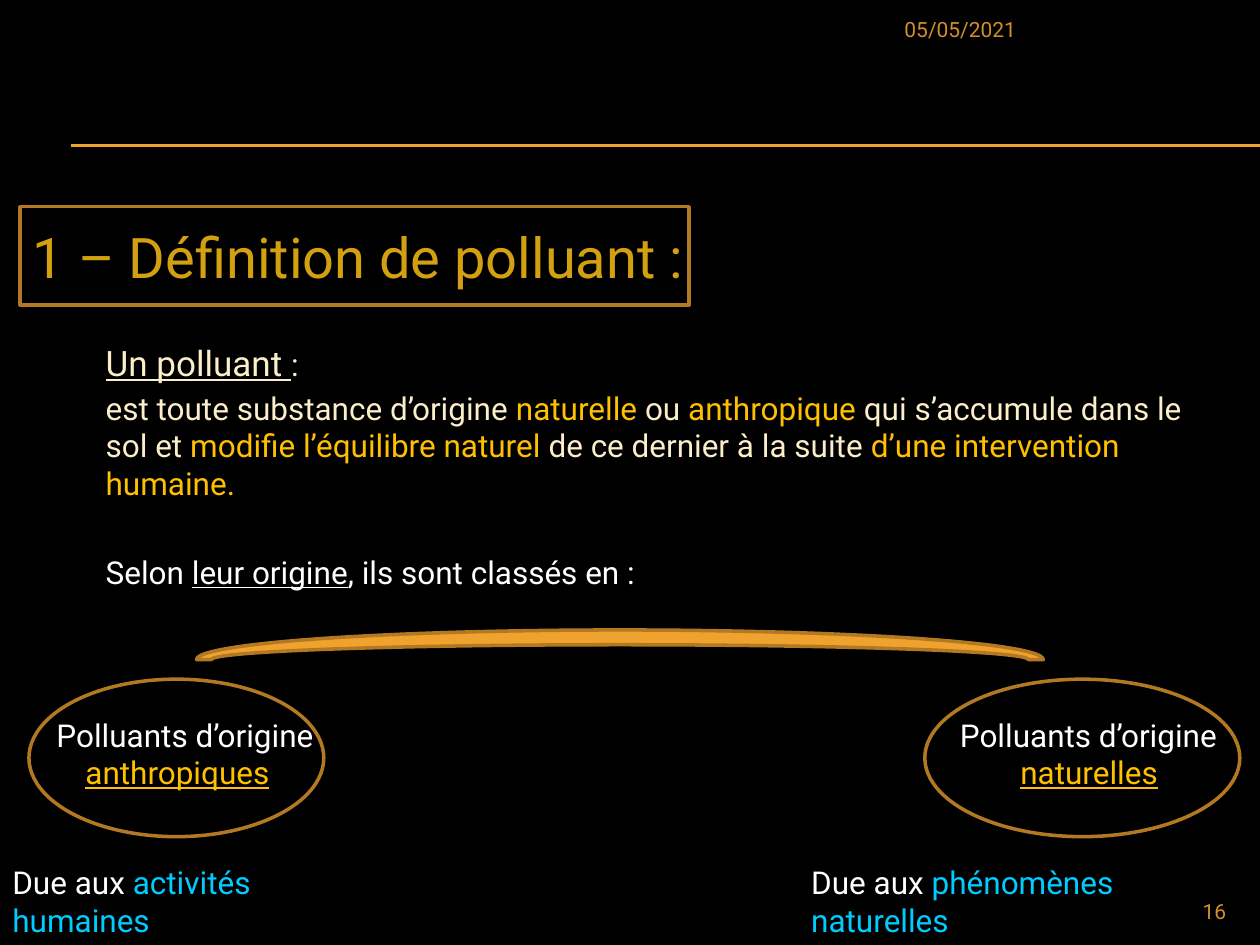
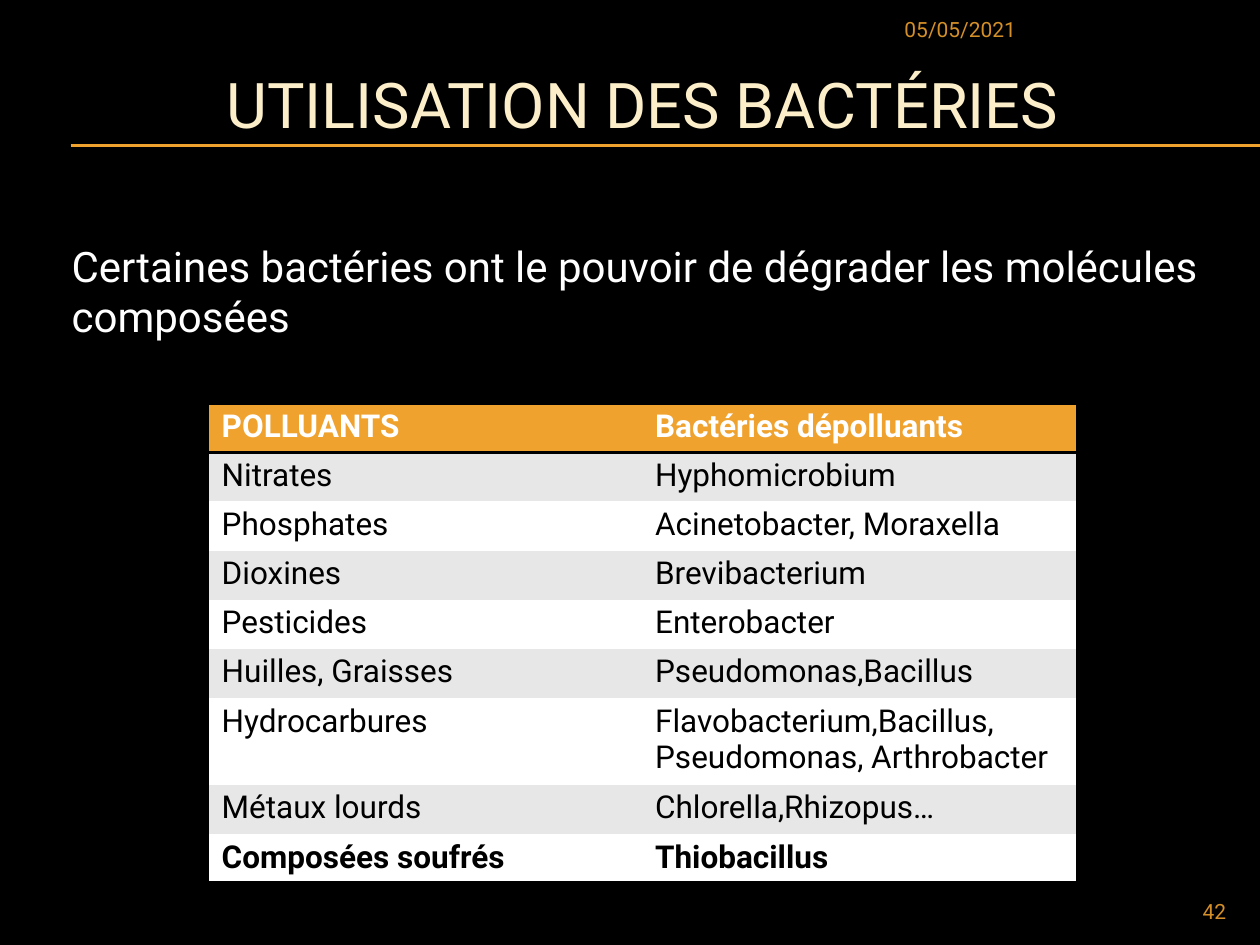
from dataclasses import dataclass

from lxml.etree import SubElement
from pptx import Presentation
from pptx.dml.color import RGBColor
from pptx.enum.shapes import MSO_CONNECTOR, MSO_SHAPE as Shape
from pptx.enum.text import MSO_ANCHOR as Anchor, MSO_AUTO_SIZE as AutoSize, PP_ALIGN as Align
from pptx.oxml.ns import qn
from pptx.util import Inches, Pt


@dataclass(frozen=True)
class Theme:
    font: str = "Roboto"
    # Colours
    background: str = "000000"
    orange: str = "F0A22E"
    outline: str = "B27822"
    footer: str = "D48F29"
    heading: str = "D2A010"
    cream: str = "FBEEC9"
    white: str = "FFFFFF"
    black: str = "000000"
    gold: str = "FFC000"
    cyan: str = "00CCFF"
    band: str = "E7E7E7"
    # Type sizes
    title_size: int = 36
    heading_size: int = 32
    intro_size: int = 24
    term_size: int = 20
    body_size: int = 18
    footer_size: int = 12


THEME = Theme()
NO_STYLE_TABLE = "{2D5ABB26-0587-4C30-8999-92F81FD0307C}"


def rgb(colour):
    return RGBColor.from_string(colour)


def place(left, top, width, height):
    return Inches(left), Inches(top), Inches(width), Inches(height)


# Text
def add_span(para, text, colour, size=THEME.body_size, underline=None, bold=None):
    span = para.add_run()
    span.text = text
    font = span.font
    font.name, font.size = THEME.font, Pt(size)
    font.underline, font.bold = underline, bold
    font.color.rgb = rgb(colour)


def add_text(slide, area, spans, align=Align.LEFT):
    """Add a wrapping text box; each span holds the arguments of add_span."""
    box = slide.shapes.add_textbox(*place(*area))
    box.text_frame.word_wrap = True
    para = box.text_frame.paragraphs[0]
    para.alignment = align
    for span in spans:
        add_span(para, *span)
    return box


def add_paragraph(box, spans, space_before):
    para = box.text_frame.add_paragraph()
    para.space_before = Pt(space_before)
    for span in spans:
        add_span(para, *span)


def set_indent(para, left, first_line):
    props = para._p.get_or_add_pPr()
    props.set("marL", str(Inches(left)))
    props.set("indent", str(Inches(first_line)))


def set_title(slide, area, text, colour, size, align):
    title = slide.shapes.title
    title.left, title.top, title.width, title.height = place(*area)
    frame = title.text_frame
    frame.auto_size, frame.word_wrap = AutoSize.NONE, True
    frame.vertical_anchor = Anchor.MIDDLE
    para = frame.paragraphs[0]
    para.alignment = align
    add_span(para, text, colour, size)
    return title


# Shapes
def set_outline(shape):
    shape.line.color.rgb = rgb(THEME.outline)
    shape.line.width = Pt(2)


def add_outlined(slide, kind, area, fill=None):
    shape = slide.shapes.add_shape(kind, *place(*area))
    shape.shadow.inherit = False
    if fill:
        shape.fill.solid()
        shape.fill.fore_color.rgb = rgb(fill)
    else:
        shape.fill.background()
    set_outline(shape)
    return shape


def add_rule(slide, top):
    rule = slide.shapes.add_connector(
        MSO_CONNECTOR.STRAIGHT, Inches(0.56), Inches(top), Inches(10), Inches(top))
    rule.line.color.rgb = rgb(THEME.orange)
    rule.line.width = Pt(0.75)
    SubElement(rule._element.spPr, qn("a:effectLst"))


# Table
def set_border(cell, sides):
    """Draw 2 pt lines on the given sides; borders precede the fill in the XML."""
    props = cell._tc.get_or_add_tcPr()
    for position, side in enumerate(sides):
        line = SubElement(props, qn(f"a:{side}"), w=str(Pt(2)))
        fill = SubElement(line, qn("a:solidFill"))
        SubElement(fill, qn("a:srgbClr"), val=THEME.black)
        props.insert(position, line)


def add_table(slide, area, rows, heights):
    frame = slide.shapes.add_table(len(rows), len(rows[0]), *place(*area))
    table = frame.table
    table._tbl.tblPr.find(qn("a:tableStyleId")).text = NO_STYLE_TABLE
    last = len(rows) - 1
    for index, (values, height) in enumerate(zip(rows, heights)):
        table.rows[index].height = Inches(height)
        header = index == 0
        fill = THEME.orange if header else THEME.band if index % 2 else THEME.white
        colour = THEME.white if header else THEME.black
        for column, value in enumerate(values):
            cell = table.cell(index, column)
            cell.margin_top = cell.margin_bottom = Inches(0.04)
            cell.fill.solid()
            cell.fill.fore_color.rgb = rgb(fill)
            add_span(cell.text_frame.paragraphs[0], value, colour,
                     bold=index in (0, last))
            if header:
                set_border(cell, ("lnT", "lnB"))
            elif index == last:
                set_border(cell, ("lnB",))


# Shared page frame
def add_page(deck, number):
    page = deck.slides.add_slide(deck.slide_layouts[5])
    for top in (1.15, 1.16):
        add_rule(page, top)
    add_text(page, (7.08, 0.08, 2.75, 0.32),
             [("05/05/2021", THEME.footer, THEME.footer_size)])
    add_text(page, (9, 7.08, 0.83, 0.27),
             [(number, THEME.footer, THEME.footer_size)], Align.RIGHT)
    return page


def add_origin(page, ellipse, label_left, indent, kind, cause_area, cause):
    """One class of pollutant: ringed label with its cause below."""
    add_outlined(page, Shape.OVAL, ellipse)
    label = add_text(page, (label_left, 5.63, 2.97, 0.71),
                     [("Polluants d’origine ", THEME.white),
                      (kind, THEME.gold, THEME.body_size, True)])
    set_indent(label.text_frame.paragraphs[0], *indent)
    add_text(page, cause_area, [("Due aux ", THEME.white), (cause, THEME.cyan)])


def build_definition(deck):
    page = add_page(deck, "16")
    title = set_title(page, (0.16, 1.64, 5.31, 0.78), "1 – Définition de polluant :",
                      THEME.heading, THEME.heading_size, Align.LEFT)
    title.text_frame.margin_right = 0  # the heading fills its frame on one line
    set_outline(title)

    # Definition
    body = add_text(page, (0.74, 2.66, 9.02, 2.1),
                    [("Un polluant ", THEME.cream, THEME.term_size, True),
                     (":", THEME.cream)])
    add_paragraph(body, [
        ("est toute substance d’origine ", THEME.cream),
        ("naturelle", THEME.gold),
        (" ou ", THEME.cream),
        ("anthropique", THEME.gold),
        (" qui s’accumule dans le sol et ", THEME.cream),
        ("modifie l’équilibre naturel ", THEME.gold),
        ("de ce dernier à la suite ", THEME.cream),
        ("d’une intervention humaine.", THEME.gold),
    ], space_before=3)
    add_paragraph(body, [
        ("Selon ", THEME.white),
        ("leur origine", THEME.white, THEME.body_size, True),
        (", ils sont classés en :", THEME.white),
    ], space_before=29)

    # Two origins under one arc
    arc = add_outlined(page, Shape.BLOCK_ARC, (1.56, 5, 6.72, 0.47), THEME.orange)
    for index, value in enumerate((108, 0, 0.25)):
        arc.adjustments[index] = value
    add_origin(page, (0.23, 5.39, 2.34, 1.25), 0, (0.58, -0.23), "anthropiques",
               (0, 6.8, 3.14, 0.4), "activités humaines")
    add_origin(page, (7.34, 5.39, 2.5, 1.25), 7.03, (0.97, -0.48), "naturelles",
               (6.34, 6.8, 3.66, 0.4), "phénomènes naturelles")


def build_bacteria(deck):
    page = add_page(deck, "42")
    set_title(page, (0.35, 0.36, 9.5, 0.92), "UTILISATION DES BACTÉRIES",
              THEME.cream, THEME.title_size, Align.CENTER)
    add_text(page, (0.47, 1.86, 9.25, 0.91),
             [("Certaines bactéries ont le pouvoir de dégrader les molécules composées",
               THEME.white, THEME.intro_size)])
    rows = [
        ("POLLUANTS", "Bactéries dépolluants"),
        ("Nitrates", "Hyphomicrobium"),
        ("Phosphates", "Acinetobacter, Moraxella"),
        ("Dioxines", "Brevibacterium"),
        ("Pesticides", "Enterobacter"),
        ("Huilles, Graisses", "Pseudomonas,Bacillus"),
        ("Hydrocarbures", "Flavobacterium,Bacillus, Pseudomonas, Arthrobacter"),
        ("Métaux lourds", "Chlorella,Rhizopus…"),
        ("Composées soufrés", "Thiobacillus"),
    ]
    heights = [0.69 if name == "Hydrocarbures" else 0.39 for name, _ in rows]
    add_table(page, (1.66, 3.2, 6.88, sum(heights)), rows, heights)


def main():
    deck = Presentation()
    deck.slide_width, deck.slide_height = Inches(10), Inches(7.5)
    backdrop = deck.slide_master.background.fill
    backdrop.solid()
    backdrop.fore_color.rgb = rgb(THEME.background)
    build_definition(deck)
    build_bacteria(deck)
    deck.save("out.pptx")


if __name__ == "__main__":
    main()
